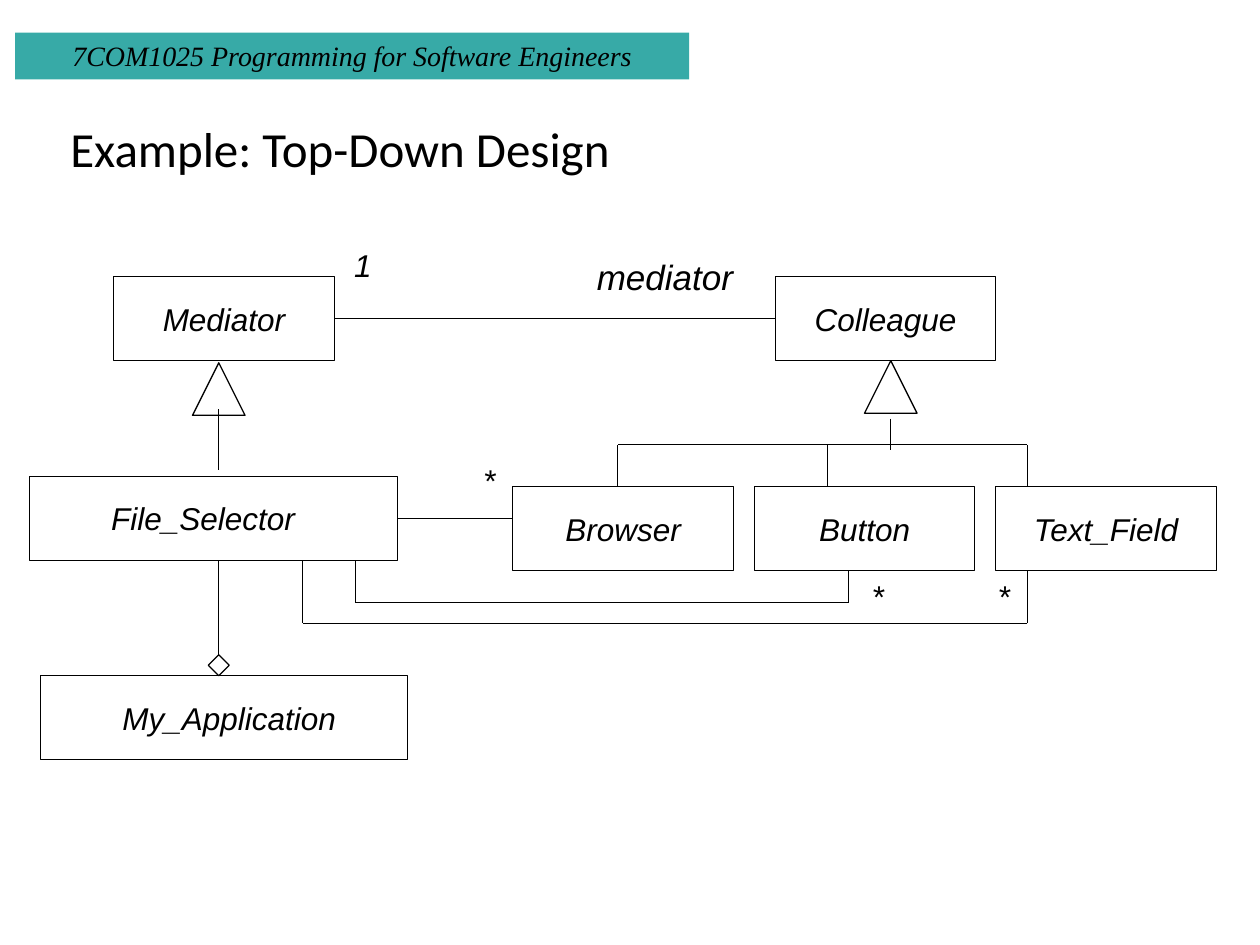
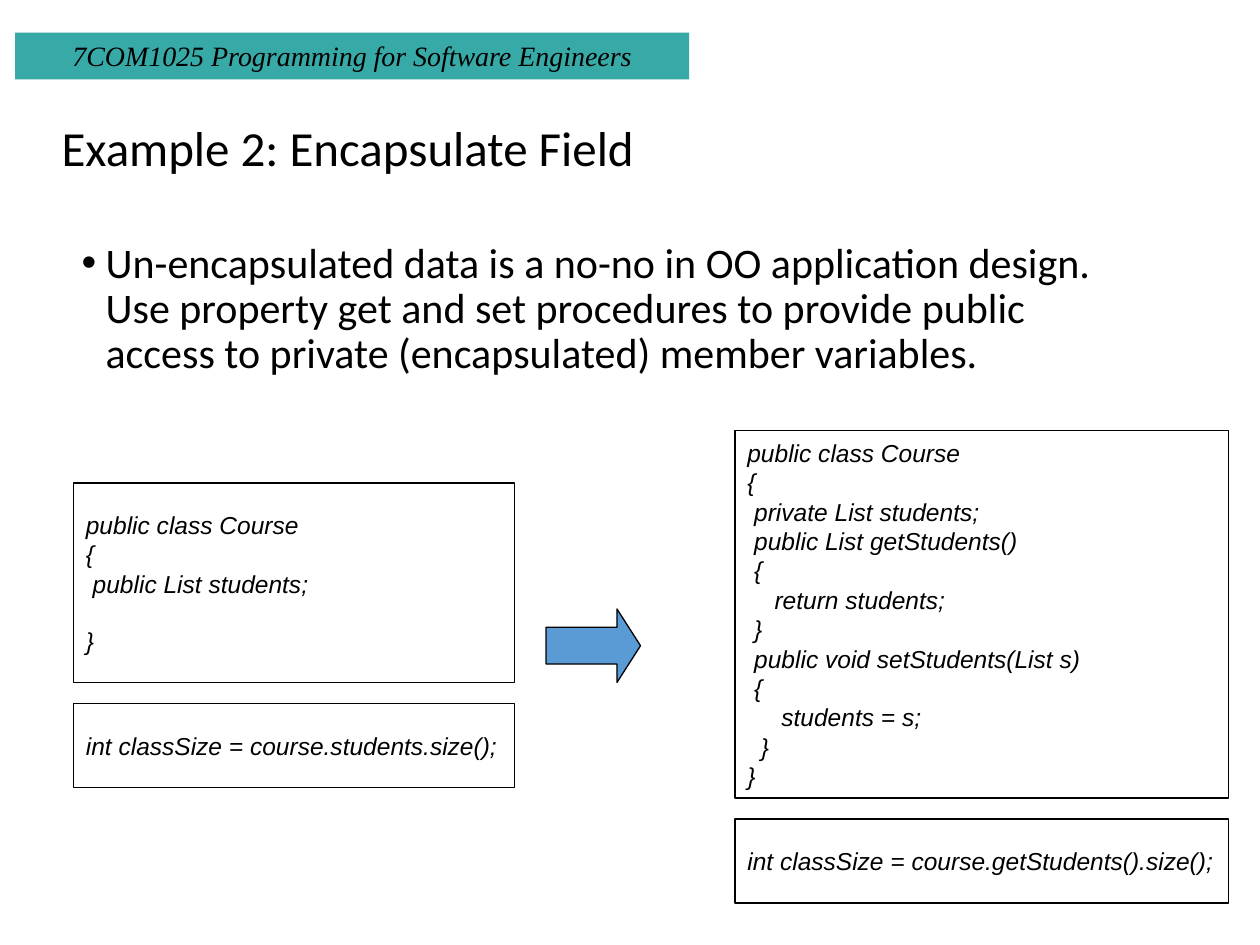
from itertools import pairwise

from lxml.etree import SubElement
from pptx import Presentation
from pptx.dml.color import RGBColor
from pptx.enum.shapes import MSO_CONNECTOR, MSO_SHAPE as Preset
from pptx.enum.text import MSO_ANCHOR as Anchor, PP_ALIGN as Align
from pptx.oxml.ns import qn
from pptx.util import Inches, Pt

BLACK = RGBColor(0x00, 0x00, 0x00)
TEAL = RGBColor(0x37, 0xAA, 0xA7)
BLUE = RGBColor(0x5B, 0x9B, 0xD5)

CELLS_PER_INCH = 12
DIAGRAM_ORIGIN = (0.07, 0.03)
PAGE_ORIGIN = (0, 0)

BAND_FONT = {"name": "Times New Roman", "size": Pt(16), "italic": True}
TITLE_FONT = {"name": "Calibri", "size": Pt(28)}
BODY_FONT = {"name": "Calibri", "size": Pt(24)}
CLASS_FONT = {"name": "Arial", "size": Pt(18), "italic": True}
ROLE_FONT = {**CLASS_FONT, "size": Pt(20)}
CODE_FONT = {**CLASS_FONT, "size": Pt(14)}
CODE_LINE = Pt(16)

COURSE = "7COM1025 Programming for Software Engineers"
BAND_AREA = (0.12, 0.26, 5.35, 0.37)
TITLE_SIZE = (8.62, 1.45)

CLASS_SIZE = (21, 8)
WIDE_SIZE = (35, 8)
CLASSES = [
    ("Mediator", 10, 26),
    ("Colleague", 73, 26),
    ("Browser", 48, 46),
    ("Button", 71, 46),
    ("Text_Field", 94, 46),
]
WIDE_CLASSES = [
    ("File_Selector", 2, 45, (8, 21)),
    ("My_Application", 3, 64, (9, 24)),
]
SYMBOLS = [
    (Preset.ISOSCELES_TRIANGLE, 17.5, 34.2, 5),
    (Preset.ISOSCELES_TRIANGLE, 81.5, 34, 5),
    (Preset.DIAMOND, 19, 62, 2),
]
ROUTES = [
    [(31, 30), (73, 30)],
    [(20, 38.6), (20, 44.4)],
    [(84, 39.5), (84, 42.5)],
    [(58, 46), (58, 42), (97, 42), (97, 46)],
    [(78, 42), (78, 46)],
    [(37, 49), (48, 49)],
    [(33, 53), (33, 57), (80, 57), (80, 54)],
    [(28, 53), (28, 59), (97, 59), (97, 54)],
    [(20, 53), (20, 62)],
]
MULTIPLICITIES = [("1", 31.7, 22.5), ("*", 44, 43), ("*", 81, 54), ("*", 93, 54)]

ADVICE = (
    "Un-encapsulated data is a no-no in OO application design. "
    "Use property get and set procedures to provide public "
    "access to private (encapsulated) member variables."
)
CODE_BOXES = [
    ((7, 46, 42, 19), [
        "public class Course",
        "{",
        " public List students;",
        "",
        "}",
    ]),
    ((7, 67, 42, 8), ["int classSize = course.students.size();"]),
    ((70, 41, 47, 35), [
        "public class Course",
        "{",
        " private List students;",
        " public List getStudents()",
        " {",
        "    return students;",
        " }",
        " public void setStudents(List s)",
        " {",
        "     students = s;",
        "  }",
        "}",
    ]),
    ((70, 78, 47, 8), ["int classSize = course.getStudents().size();"]),
]


def on_grid(area, origin=DIAGRAM_ORIGIN):
    offsets = (*origin, 0, 0)
    return [cells / CELLS_PER_INCH + offset for cells, offset in zip(area, offsets)]


def add_outline(slide, preset, area, fill=None, line=BLACK):
    shape = slide.shapes.add_shape(preset, *map(Inches, area))
    shape.shadow.inherit = False
    if fill is None:
        shape.fill.background()
    else:
        shape.fill.solid()
        shape.fill.fore_color.rgb = fill
    if line is None:
        shape.line.fill.background()
    else:
        shape.line.color.rgb = line
        shape.line.width = Pt(0.75)
    return shape


def write(shape, lines, font, align=Align.LEFT, anchor=Anchor.MIDDLE, spacing=None):
    frame = shape.text_frame
    frame.word_wrap = True
    frame.vertical_anchor = anchor
    gap = 0
    paragraph = None
    for line in lines:
        if not line:
            gap += CODE_LINE
            continue
        paragraph = frame.add_paragraph() if paragraph else frame.paragraphs[0]
        paragraph.alignment = align
        paragraph.line_spacing = spacing
        if gap:
            paragraph.space_before = gap
            gap = 0
        run = paragraph.add_run()
        run.text = line
        run.font.color.rgb = BLACK
        for attribute, value in font.items():
            setattr(run.font, attribute, value)
    return frame


def add_text(slide, area, text, font, **options):
    box = slide.shapes.add_textbox(*map(Inches, area))
    return write(box, [text], font, **options)


def add_route(slide, points):
    for start, end in pairwise(points):
        ends = [*on_grid(start), *on_grid(end)]
        connector = slide.shapes.add_connector(MSO_CONNECTOR.STRAIGHT, *map(Inches, ends))
        connector.line.color.rgb = BLACK
        connector.line.width = Pt(0.75)
        SubElement(connector.element.spPr, qn("a:effectLst"))


def add_bullet(paragraph):
    properties = paragraph._p.get_or_add_pPr()
    properties.set("marL", str(Inches(0.19)))
    properties.set("indent", str(-Inches(0.19)))
    SubElement(properties, qn("a:buFont"), typeface="Arial")
    SubElement(properties, qn("a:buChar"), char="•")


def start_slide(presentation, title, left, top):
    slide = presentation.slides.add_slide(presentation.slide_layouts[6])
    band = add_outline(slide, Preset.RECTANGLE, BAND_AREA, TEAL, None)
    write(band, [COURSE], BAND_FONT, Align.CENTER, Anchor.TOP)
    add_text(slide, (left, top, *TITLE_SIZE), title, TITLE_FONT, spacing=0.9)
    return slide


def build_design(presentation):
    slide = start_slide(presentation, "Example: Top-Down Design", 0.46, 0.48)
    for name, column, row in CLASSES:
        box = add_outline(slide, Preset.RECTANGLE, on_grid((column, row, *CLASS_SIZE)))
        write(box, [name], CLASS_FONT, Align.CENTER)
    for name, column, row, (text_column, text_width) in WIDE_CLASSES:
        add_outline(slide, Preset.RECTANGLE, on_grid((column, row, *WIDE_SIZE)))
        text_area = on_grid((text_column, row, text_width, WIDE_SIZE[1]))
        add_text(slide, text_area, name, CLASS_FONT, align=Align.CENTER)
    for preset, column, row, size in SYMBOLS:
        add_outline(slide, preset, on_grid((column, row, size, size)))
    for points in ROUTES:
        add_route(slide, points)
    for mark, column, row in MULTIPLICITIES:
        add_text(slide, on_grid((column, row, 5, 6)), mark, CLASS_FONT, anchor=Anchor.TOP)
    role_area = on_grid((52, 22, *CLASS_SIZE))
    add_text(slide, role_area, "mediator", ROLE_FONT, align=Align.CENTER)


def build_encapsulation(presentation):
    slide = start_slide(presentation, "Example 2: Encapsulate Field", 0.39, 0.47)
    advice = add_text(slide, (0.55, 1.87, 8.62, 1.48), ADVICE, BODY_FONT,
                      anchor=Anchor.TOP, spacing=0.9)
    add_bullet(advice.paragraphs[0])
    for area, lines in CODE_BOXES:
        box = add_outline(slide, Preset.RECTANGLE, on_grid(area, PAGE_ORIGIN))
        write(box, lines, CODE_FONT).margin_right = 0
    arrow_area = on_grid((52, 58, 9, 7), PAGE_ORIGIN)
    arrow = add_outline(slide, Preset.RIGHT_ARROW, arrow_area, BLUE)
    arrow.adjustments[1] = 0.32


def main():
    presentation = Presentation()
    presentation.slide_width = Inches(10)
    presentation.slide_height = Inches(7.5)
    build_design(presentation)
    build_encapsulation(presentation)
    presentation.save("out.pptx")


if __name__ == "__main__":
    main()
